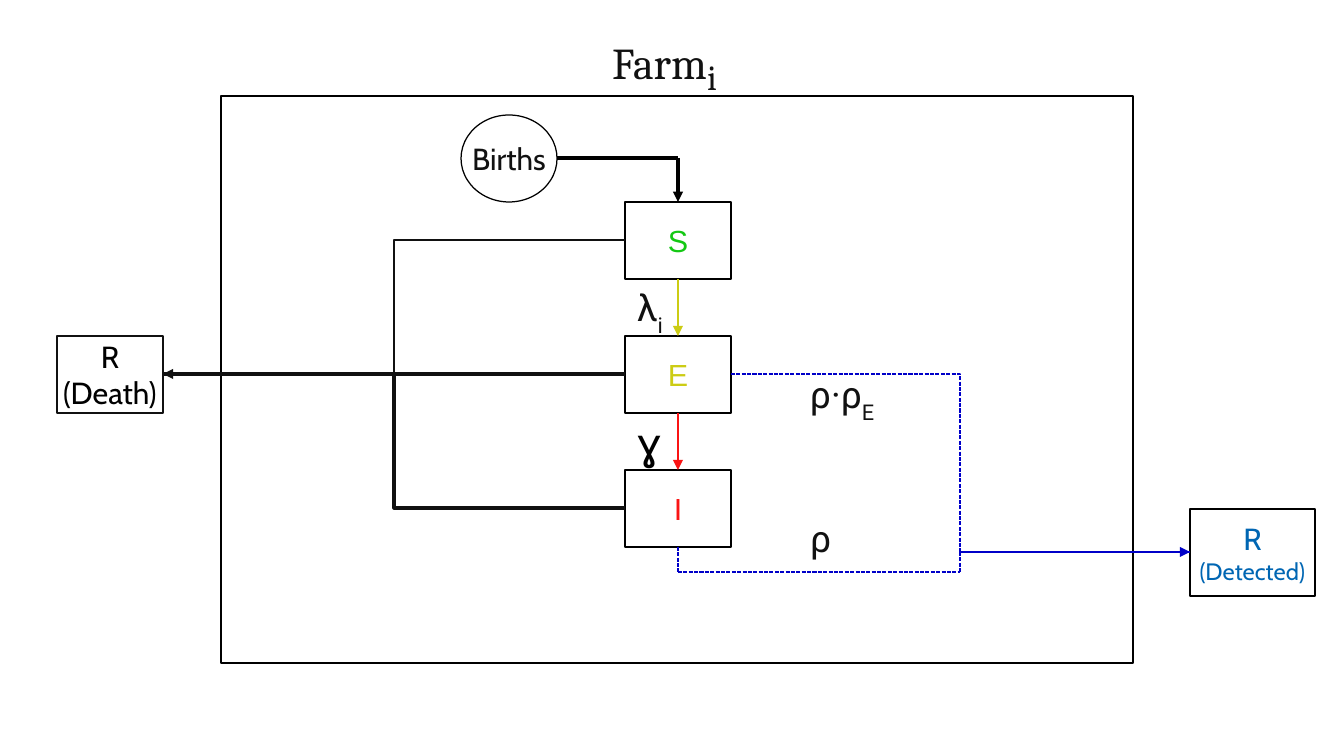
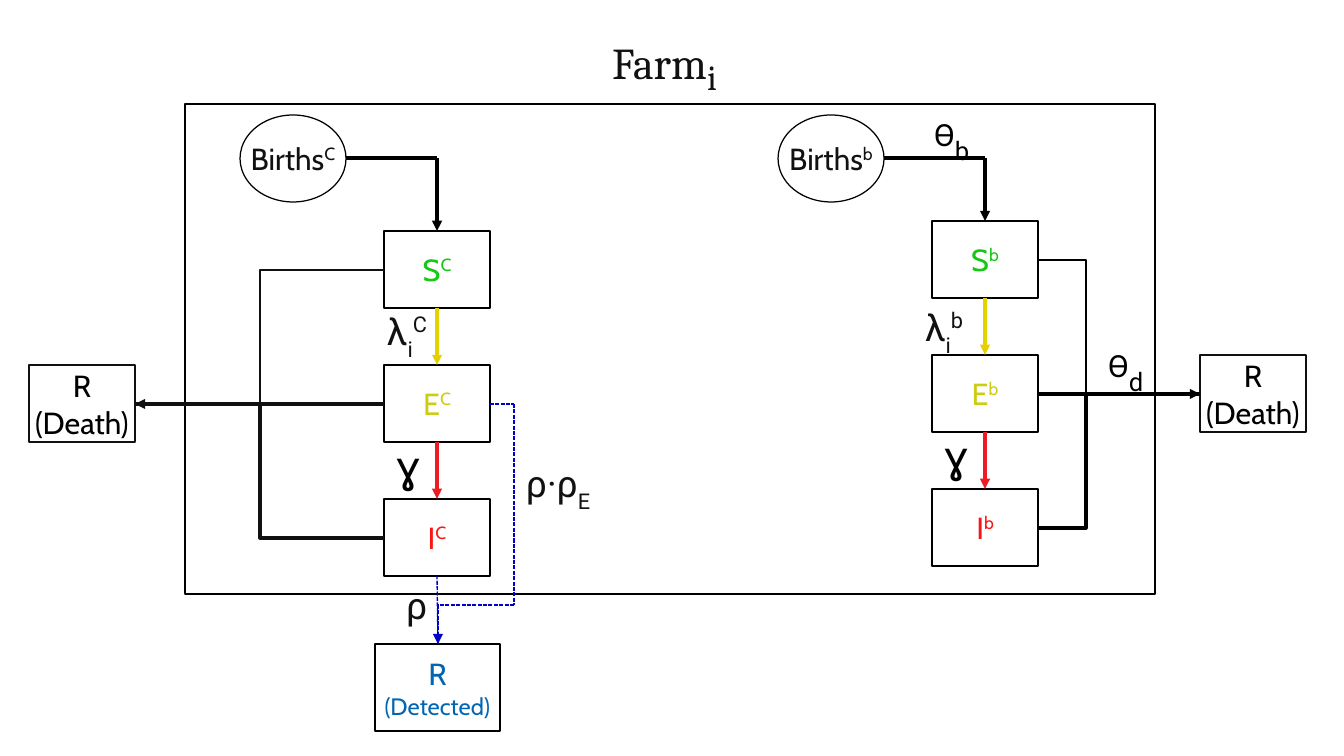
from itertools import pairwise

from pptx import Presentation
from pptx import util as u
from pptx.dml.color import RGBColor
from pptx.enum import dml, shapes, text
from pptx.oxml import ns
from pptx.oxml.xmlchemy import OxmlElement

SCALE = 7495  # EMU in one px
BLACK, INK, WHITE = "000000", "111111", "FFFFFF"
GREEN, YELLOW, RED = "14C814", "CCCC14", "FA1414"
DETECTED, BLUE = "0066B3", "0000C8"
PALE_YELLOW, PALE_RED = "E3D200", "ED1C24"
BODY, SYMBOL, HEADING = "Cabin", "Roboto", "Cambria"
THIN, HAIRLINE = 0.79, 0
SUB, SUPER = -33, 33
NODE = (106, 77)
DETECTED_SIZE = (125, 87)
STEP = 134  # from one compartment to the next
TOP, LEFT, BOTTOM, RIGHT = (0.5, 0), (0, 0.5), (0.5, 1), (1, 0.5)


def px(*lengths):
    return [u.Emu(length * SCALE) for length in lengths]


def rgb(code):
    return RGBColor.from_string(code)


def write(para, words, size=18, font=BODY, color=BLACK, base=0):
    """Add one span; base is the percentage it is raised or lowered."""
    span = para.add_run()
    span.text = words
    span.font.size = u.Pt(size)
    span.font.name = font
    span.font.color.rgb = rgb(color)
    if base:
        span._r.get_or_add_rPr().set("baseline", str(base * 1000))


def site(shape, side):
    """The px point at the given fractions of a shape's width and height."""
    return (round((shape.left + shape.width * side[0]) / SCALE),
            round((shape.top + shape.height * side[1]) / SCALE))


class Diagram:
    """Style and current slide of the farm flow diagrams."""

    def __init__(self):
        self.deck = Presentation()
        self.deck.slide_width, self.deck.slide_height = px(1344, 756)
        self.page = None

    def new_page(self, frame):
        self.page = self.deck.slides.add_slide(self.deck.slide_layouts[5])
        title = self.page.shapes.title
        title.left, title.top, title.width, title.height = px(568, 29, 193, 58)
        body = title.text_frame
        body.auto_size = text.MSO_AUTO_SIZE.NONE
        body.word_wrap = False
        body.vertical_anchor = text.MSO_ANCHOR.MIDDLE
        para = body.paragraphs[0]
        para.alignment = text.PP_ALIGN.CENTER
        write(para, "Farm", size=26, font=HEADING, color=INK)
        write(para, "i", size=35.9, font=HEADING, color=INK, base=-17)
        self.box(frame)

    def box(self, place, lines=(), kind=shapes.MSO_SHAPE.RECTANGLE, outline=BLACK):
        """Outlined shape; each line is a list of (words, format) spans."""
        shape = self.page.shapes.add_shape(kind, *px(*place))
        shape.shadow.inherit = False
        shape.fill.solid()
        shape.fill.fore_color.rgb = rgb(WHITE)
        shape.line.color.rgb = rgb(outline)
        shape.line.width = u.Pt(HAIRLINE)
        body = shape.text_frame
        body.word_wrap = False
        body.vertical_anchor = text.MSO_ANCHOR.MIDDLE
        for number, spans in enumerate(lines):
            para = body.add_paragraph() if number else body.paragraphs[0]
            para.alignment = text.PP_ALIGN.CENTER
            for words, style in spans:
                write(para, words, **style)
        return shape

    def births(self, left, width, mark=""):
        spans = [("Births", {"color": INK})]
        if mark:
            spans.append((mark, {"color": INK, "base": SUPER}))
        return self.box((left, 115, width, 87), [spans], shapes.MSO_SHAPE.OVAL)

    def death(self, left, top):
        return self.box((left, top, *NODE), [[("R", {})], [("(Death)", {})]], outline=INK)

    def detected(self, left, top):
        return self.box((left, top, *DETECTED_SIZE),
                        [[("R", {"color": DETECTED})],
                         [("(Detected)", {"color": DETECTED, "size": 14})]])

    def compartments(self, left, top, mark="", font=BODY,
                     arrows=(PALE_YELLOW, PALE_RED), width=HAIRLINE):
        """Column S, E, I joined by two coloured arrows."""
        nodes = []
        for row, (letter, color) in enumerate(zip("SEI", (GREEN, YELLOW, RED))):
            spans = [(letter, {"font": font, "color": color})]
            if mark:
                spans.append((mark, {"font": font, "color": color, "base": SUPER}))
            nodes.append(self.box((left, top + row * STEP, *NODE), [spans]))
        for (upper, lower), color in zip(pairwise(nodes), arrows):
            line = self.line(site(upper, BOTTOM), site(lower, TOP),
                             color=color, width=width, arrow=True)
            line.begin_connect(upper, 2)
            line.end_connect(lower, 0)
        return nodes

    def label(self, left, top, width, words, size=22, color=INK, marks=()):
        """Symbol followed by (words, base, size) marks."""
        box = self.page.shapes.add_textbox(*px(left, top, width, 82))
        body = box.text_frame
        body.word_wrap = True
        body.auto_size = text.MSO_AUTO_SIZE.SHAPE_TO_FIT_TEXT
        para = body.paragraphs[0]
        write(para, words, size=size, font=SYMBOL, color=color)
        for mark, base, mark_size in marks:
            write(para, mark, size=mark_size, font=SYMBOL, color=color, base=base)

    def gamma(self, left, top):
        self.label(left, top, 48, "ɣ", size=26, color=BLACK)

    def theta(self, left, top, mark):
        self.label(left, top, 77, "ϴ", size=18, color=BLACK, marks=[(mark, SUB, 26)])

    def line(self, start, end, color=BLACK, width=HAIRLINE, arrow=False,
             dashed=False, bend=None):
        """Straight line, or an elbow whose upright part stands at x = bend."""
        kind = shapes.MSO_CONNECTOR.STRAIGHT if bend is None else shapes.MSO_CONNECTOR.ELBOW
        line = self.page.shapes.add_connector(kind, *px(*start, *end))
        line.line.color.rgb = rgb(color)
        line.line.width = u.Pt(width)
        if dashed:
            line.line.dash_style = dml.MSO_LINE.SQUARE_DOT
        properties = line._element.spPr
        if bend is not None:
            share = (bend - start[0]) / (end[0] - start[0])
            guide = OxmlElement("a:gd")
            guide.set("name", "adj1")
            guide.set("fmla", f"val {round(share * 100000)}")
            properties.find(ns.qn("a:prstGeom")).find(ns.qn("a:avLst")).append(guide)
        if arrow:
            head = OxmlElement("a:tailEnd")
            head.set("type", "triangle")
            line.line._get_or_add_ln().append(head)
        properties.append(OxmlElement("a:effectLst"))
        return line

    def route(self, *points, arrow=False, **style):
        """Chain of straight lines, with any arrowhead on the last."""
        for start, end in pairwise(points):
            self.line(start, end, arrow=arrow and end == points[-1], **style)

    def birth_arrow(self, births, target):
        start, end = site(births, RIGHT), site(target, TOP)
        self.route(start, (end[0], start[1]), end, arrow=True)

    def deaths(self, nodes, death, bend, color=INK, width=THIN, leftward=True):
        """Join all three compartments to the death box."""
        leave, enter = (LEFT, RIGHT) if leftward else (RIGHT, LEFT)
        first, middle, last = (site(node, leave) for node in nodes)
        end = site(death, enter)
        self.line(first, end, color=color, width=width, arrow=True, bend=bend)
        self.line(middle, end, color=color)
        self.line(last, end, color=color, bend=bend)


def one_group(diagram):
    diagram.new_page((221, 96, 912, 567))
    nodes = diagram.compartments(625, 202, font="Arial", arrows=(YELLOW, RED), width=THIN)
    diagram.birth_arrow(diagram.births(461, 96), nodes[0])
    diagram.deaths(nodes, diagram.death(57, 336), bend=394)

    end = site(diagram.detected(1190, 509), LEFT)
    dashes = {"color": BLUE, "width": THIN, "dashed": True}
    diagram.line(site(nodes[1], RIGHT), end, bend=960, arrow=True, **dashes)
    start = site(nodes[2], BOTTOM)
    diagram.route(start, (start[0], 572), (960, 572), (960, end[1]), end, **dashes)

    diagram.label(625, 278, 57, "λ", marks=[("i", SUB, 22)])
    diagram.gamma(625, 409)
    diagram.label(798, 365, 115, "ρ·ρ", marks=[("E", SUB, 22)])
    diagram.label(798, 509, 57, "ρ")


def two_groups(diagram):
    diagram.new_page((185, 104, 970, 490))
    nodes = diagram.compartments(384, 231, mark="C")
    diagram.birth_arrow(diagram.births(240, 106, "C"), nodes[0])
    diagram.deaths(nodes, diagram.death(29, 365), bend=260)

    end = site(diagram.detected(375, 644), TOP)
    start = site(nodes[1], RIGHT)
    dashes = {"color": BLUE, "width": THIN, "dashed": True}
    diagram.route(start, (514, start[1]), (514, 605), (end[0], 605), end,
                  arrow=True, **dashes)
    diagram.line(end, site(nodes[2], BOTTOM), **dashes)

    diagram.label(375, 302, 77, "λ", marks=[("i", SUB, 22), ("C", SUPER, 22)])
    diagram.gamma(384, 432)
    diagram.label(394, 576, 57, "ρ")
    diagram.label(514, 454, 115, "ρ·ρ", marks=[("E", SUB, 22)])

    nodes = diagram.compartments(932, 221, mark="b")
    diagram.birth_arrow(diagram.births(778, 106, "b"), nodes[0])
    diagram.deaths(nodes, diagram.death(1200, 355), bend=1086,
                   color=BLACK, leftward=False)
    diagram.label(913, 298, 77, "λ", marks=[("i", SUB, 22), ("b", SUPER, 22)])
    diagram.gamma(932, 422)
    diagram.theta(922, 96, "b")
    diagram.theta(1096, 327, "d")


def main():
    diagram = Diagram()
    one_group(diagram)
    two_groups(diagram)
    diagram.deck.save("out.pptx")


if __name__ == "__main__":
    main()
